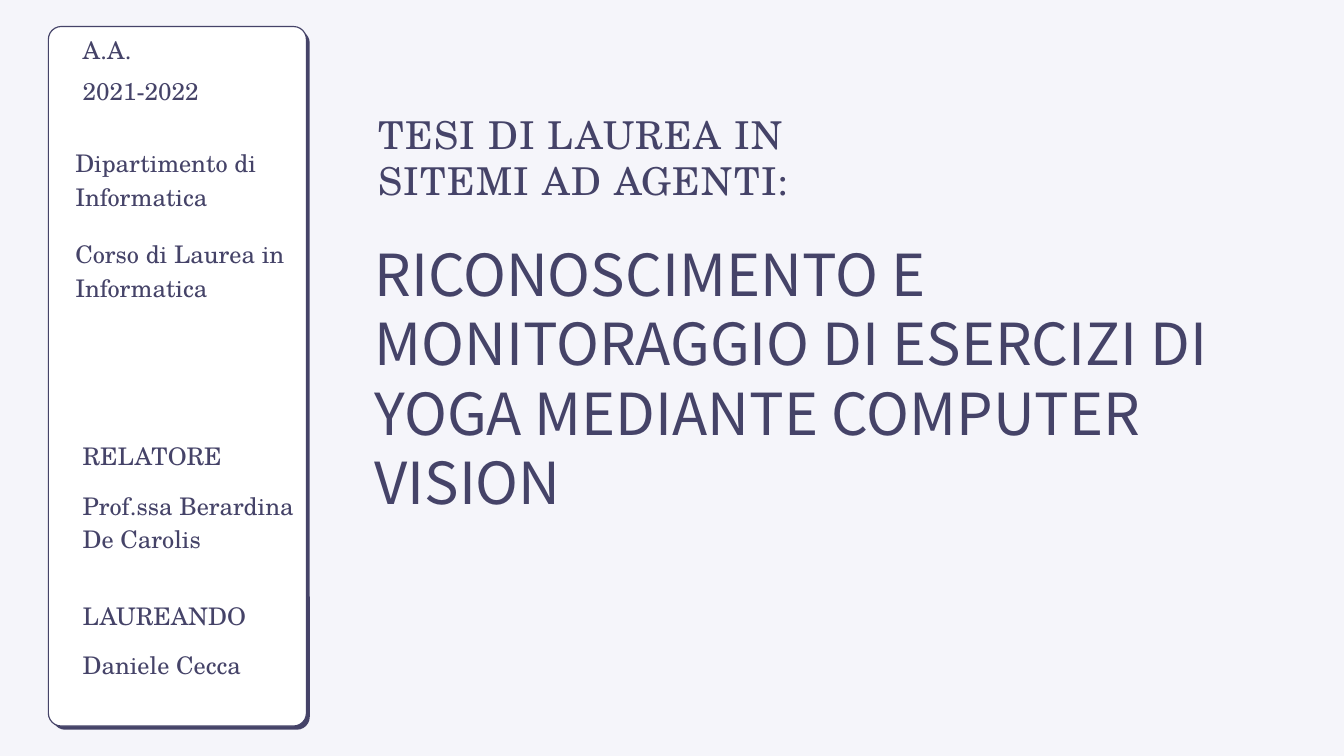
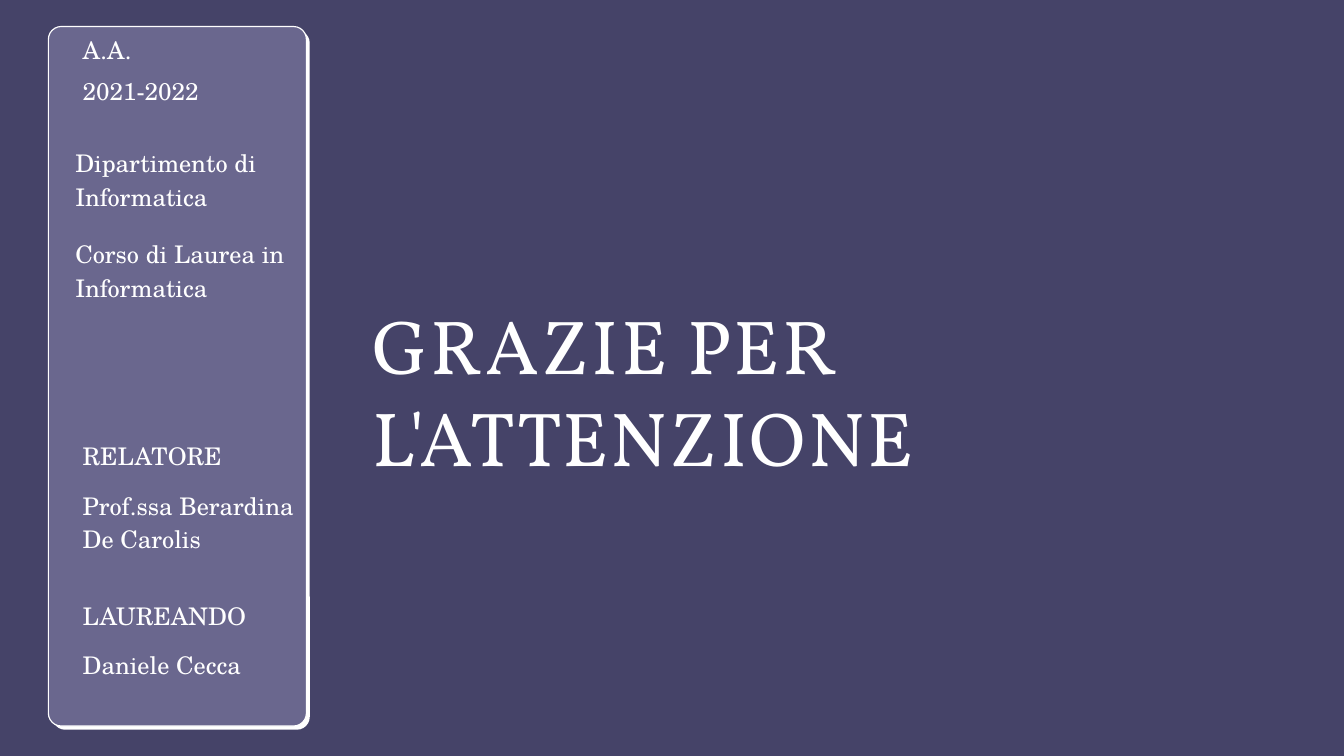
from pptx import Presentation
from pptx.dml.color import RGBColor
from pptx.enum.shapes import MSO_SHAPE
from pptx.enum.text import MSO_ANCHOR, MSO_AUTO_SIZE, PP_ALIGN
from pptx.util import Inches, Pt

presentation = Presentation()
presentation.slide_width = Inches(20)
presentation.slide_height = Inches(11.25)
TITLE_ONLY = presentation.slide_layouts[5]

# Shared colours and fonts
INDIGO, LAVENDER, PALE, WHITE = "454368", "6A678E", "F5F5FA", "FFFFFF"
SERIF, SANS, DISPLAY = "TeX Gyre Schola", "Noto Sans CJK SC", "Vollkorn"

# Side panel layers, as percentages of the slide: left, top, width, height
PANEL_SHADOW = (3.9, 4, 19.15, 92.53)
PANEL_FRONT = (3.6, 3.51, 19.2, 92.53)

# Side panel texts: left, top, width, number of lines
INNER, OUTER = 6.15, 5.6
LINE_HEIGHT = 4.4
PANEL_TEXTS = {
    "A.A.": (INNER, 4, 15.9, 1),
    "2021-2022": (INNER, 9.42, 17.4, 1),
    "Dipartimento di Informatica": (OUTER, 18.93, 15.9, 2),
    "Corso di Laurea in Informatica": (OUTER, 31.02, 15.9, 2),
    "RELATORE": (INNER, 57.78, 15.9, 1),
    "Prof.ssa Berardina De Carolis": (INNER, 64.27, 15.9, 2),
    "LAUREANDO": (INNER, 78.93, 15.9, 1),
    "Daniele Cecca": (INNER, 85.42, 15.9, 2),
}

# Text styles: font, size, line spacing and letter spacing in points
PANEL_STYLE = (SERIF, 26, 36.4, 0)
SUBJECT_STYLE = (SERIF, 41.1, 49.3, 1.3)
THESIS_STYLE = (SANS, 62, 74.4, 0)
CLOSING_STYLE = (DISPLAY, 82.1, 98.5, 2.5)


def share(left, top, width, height):
    """Turn percentages of the slide into lengths."""
    sides = (presentation.slide_width, presentation.slide_height) * 2
    return [int(side * part / 100) for side, part in zip(sides, (left, top, width, height))]


def write(shape, text, color, style):
    """Put one left-aligned paragraph in a shape without margins."""
    font_name, size, line_spacing, letter_spacing = style
    frame = shape.text_frame
    frame_format = {
        "margin_left": 0, "margin_top": 0, "margin_right": 0, "margin_bottom": 0,
        "word_wrap": True, "vertical_anchor": MSO_ANCHOR.TOP,
        "auto_size": MSO_AUTO_SIZE.SHAPE_TO_FIT_TEXT,
    }
    for name, value in frame_format.items():
        setattr(frame, name, value)
    paragraph = frame.paragraphs[0]
    paragraph.alignment = PP_ALIGN.LEFT
    paragraph.line_spacing = Pt(line_spacing)
    run = paragraph.add_run()
    run.text = text
    run.font.name = font_name
    run.font.size = Pt(size)
    run.font.color.rgb = RGBColor.from_string(color)
    if letter_spacing:
        run.font._element.set("spc", str(round(letter_spacing * 100)))


# Each slide: background, panel fill, ink, title, title place, title style
slides = [
    (PALE, WHITE, INDIGO,
     "RICONOSCIMENTO E MONITORAGGIO DI ESERCIZI DI YOGA MEDIANTE COMPUTER VISION",
     (27.85, 31.56, 67.5, 45.87), THESIS_STYLE),
    (INDIGO, LAVENDER, WHITE,
     "GRAZIE PER L'ATTENZIONE",
     (27.7, 39.38, 45.5, 24.27), CLOSING_STYLE),
]

for background, panel_fill, ink, title_text, title_place, title_style in slides:
    slide = presentation.slides.add_slide(TITLE_ONLY)
    slide.background.fill.solid()
    slide.background.fill.fore_color.rgb = RGBColor.from_string(background)

    # Rounded side panel with a hard offset shadow
    panel = slide.shapes.add_group_shape()
    for place, fill in ((PANEL_SHADOW, ink), (PANEL_FRONT, panel_fill)):
        layer = panel.shapes.add_shape(MSO_SHAPE.ROUNDED_RECTANGLE, *share(*place))
        layer.adjustments[0] = 0.05
        layer.shadow.inherit = False
        layer.fill.solid()
        layer.fill.fore_color.rgb = RGBColor.from_string(fill)
        layer.line.fill.background()
    layer.line.color.rgb = RGBColor.from_string(ink)
    layer.line.width = Pt(1.25)

    # Panel texts
    for text, (left, top, width, lines) in PANEL_TEXTS.items():
        box = slide.shapes.add_textbox(*share(left, top, width, lines * LINE_HEIGHT))
        write(box, text, ink, PANEL_STYLE)

    # Title
    title = slide.shapes.title
    title.left, title.top, title.width, title.height = share(*title_place)
    write(title, title_text, ink, title_style)

# Thesis subject above the title of the opening slide
subject = presentation.slides[0].shapes.add_textbox(*share(28.15, 14.67, 34.4, 12.09))
write(subject, "TESI DI LAUREA IN SITEMI AD AGENTI:", INDIGO, SUBJECT_STYLE)

presentation.save("out.pptx")
